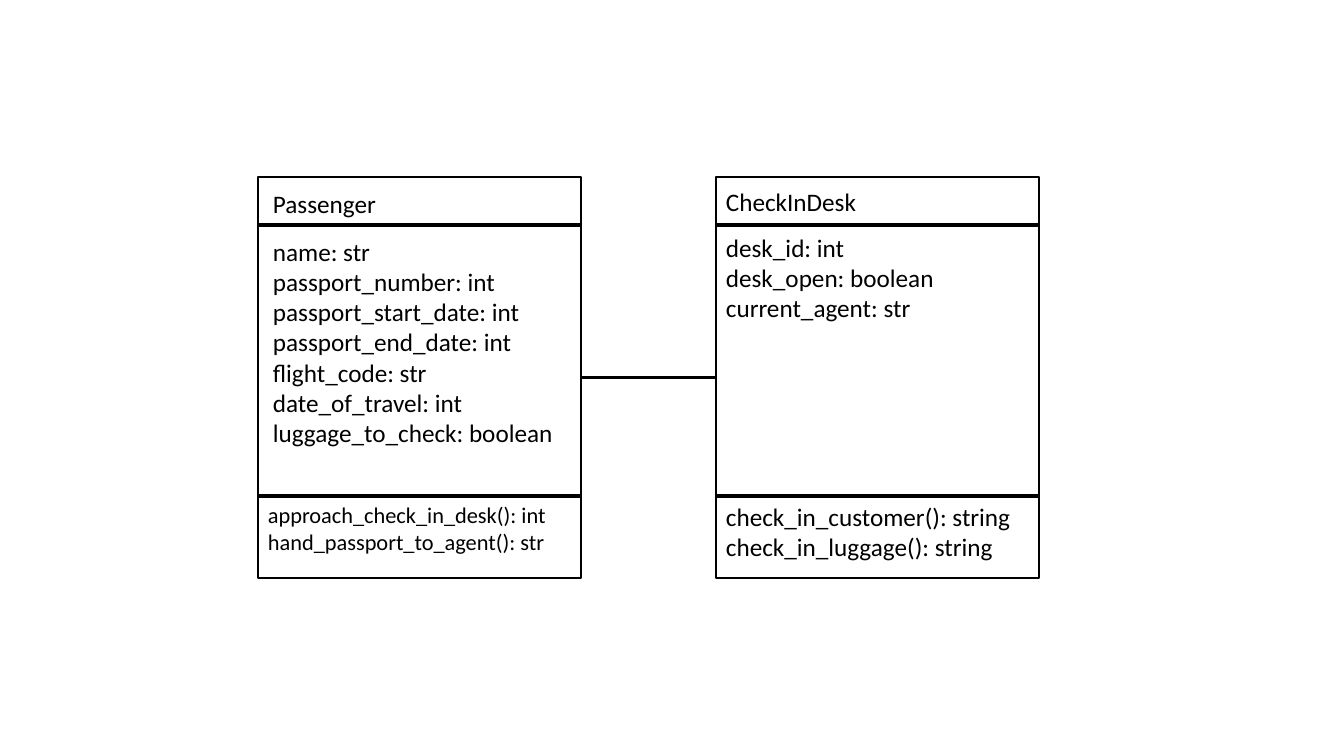
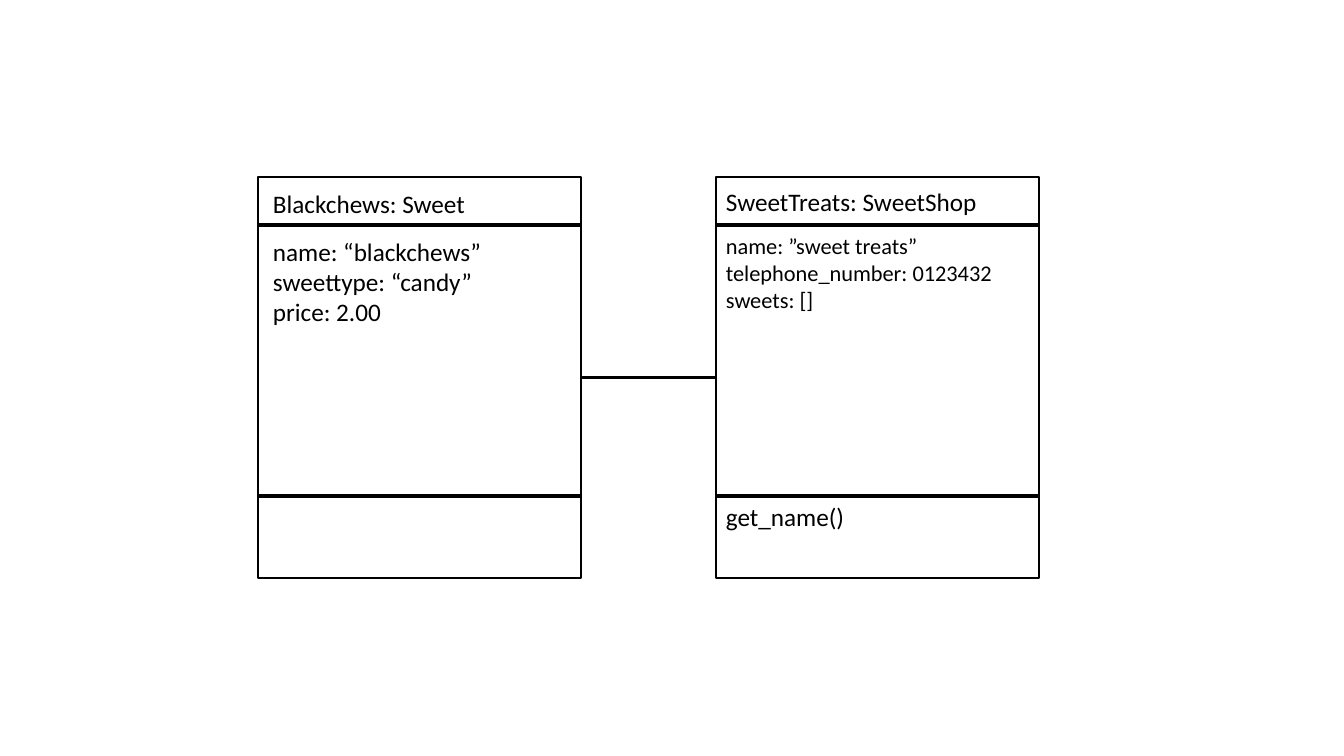
"""Build two class diagrams, each a pair of joined three-part boxes."""
from lxml import etree
from pptx import Presentation
from pptx.dml.color import RGBColor
from pptx.enum.shapes import MSO_CONNECTOR, MSO_SHAPE
from pptx.enum.text import MSO_AUTO_SIZE
from pptx.oxml.ns import qn
from pptx.util import Emu, Pt

STRAIGHT = MSO_CONNECTOR.STRAIGHT
RECTANGLE = MSO_SHAPE.RECTANGLE
NO_AUTOFIT = MSO_AUTO_SIZE.NONE
EMU_PER_PX = 914400 / 100.8
FONT = "Calibri"
BLACK = "000000"

CLASS_LEFTS = (258, 716)
CLASS_TOP, CLASS_WIDTH, CLASS_HEIGHT = 177, 323, 401
DIVIDERS = (496, 225)
TEXT_WIDTH = 318
PADDING, LINE_RATIO = 10, 1.68
LEFT_PLACES = ((263, 183), (263, 231), (258, 496))
RIGHT_PLACES = ((716, 181), (716, 227), (716, 496))

DIAGRAMS = [
    [
        (LEFT_PLACES, [
            (18, ["Passenger"]),
            (18, ["name: str", "passport_number: int", "passport_start_date: int",
                  "passport_end_date: int", "flight_code: str",
                  "date_of_travel: int", "luggage_to_check: boolean"]),
            (16, ["approach_check_in_desk(): int", "hand_passport_to_agent(): str"]),
        ]),
        (RIGHT_PLACES, [
            (18, ["CheckInDesk"]),
            (18, ["desk_id: int", "desk_open: boolean", "current_agent: str"]),
            (18, ["check_in_customer(): string", "check_in_luggage(): string"]),
        ]),
    ],
    [
        (LEFT_PLACES, [
            (18, ["Blackchews: Sweet"]),
            (18, ["name: “blackchews”", "sweettype: “candy”", "price: 2.00"]),
        ]),
        (RIGHT_PLACES, [
            (18, ["SweetTreats: SweetShop"]),
            (16, ["name: ”sweet treats”", "telephone_number: 0123432", "sweets: []"]),
            (18, ["get_name()"]),
        ]),
    ],
]


def px(*lengths):
    return [Emu(round(length * EMU_PER_PX)) for length in lengths]


def color(code):
    return RGBColor.from_string(code)


deck = Presentation()
deck.slide_width, deck.slide_height = px(1344, 756)
blank = deck.slide_layouts[6]

for diagram in DIAGRAMS:
    page = deck.slides.add_slide(blank)

    boxes = []
    for left in CLASS_LEFTS:
        box = page.shapes.add_shape(
            RECTANGLE, *px(left, CLASS_TOP, CLASS_WIDTH, CLASS_HEIGHT))
        box.shadow.inherit = False
        box.fill.background()
        box.line.color.rgb = color(BLACK)
        box.line.width = Pt(2)
        boxes.append(box)

    association = page.shapes.add_connector(STRAIGHT, 0, 0, 0, 0)
    association.begin_connect(boxes[0], 3)
    association.end_connect(boxes[1], 1)
    lines = [association]
    for y in DIVIDERS:
        for left in CLASS_LEFTS:
            lines.append(page.shapes.add_connector(
                STRAIGHT, *px(left, y, left + CLASS_WIDTH, y)))
    for line in lines:
        line.line.color.rgb = color(BLACK)
        line.line.width = Pt(2.5)
        properties = line._element.find(qn("p:spPr"))
        etree.SubElement(properties, qn("a:effectLst"))

    for places, sections in diagram:
        for (left, top), (size, rows) in zip(places, sections):
            height = PADDING + len(rows) * size * LINE_RATIO
            label = page.shapes.add_textbox(*px(left, top, TEXT_WIDTH, height))
            frame = label.text_frame
            frame.word_wrap = True
            frame.auto_size = NO_AUTOFIT
            for index, row in enumerate(rows):
                para = frame.add_paragraph() if index else frame.paragraphs[0]
                span = para.add_run()
                span.text = row
                span.font.name = FONT
                span.font.size = Pt(size)
                span.font.color.rgb = color(BLACK)

deck.save("out.pptx")
